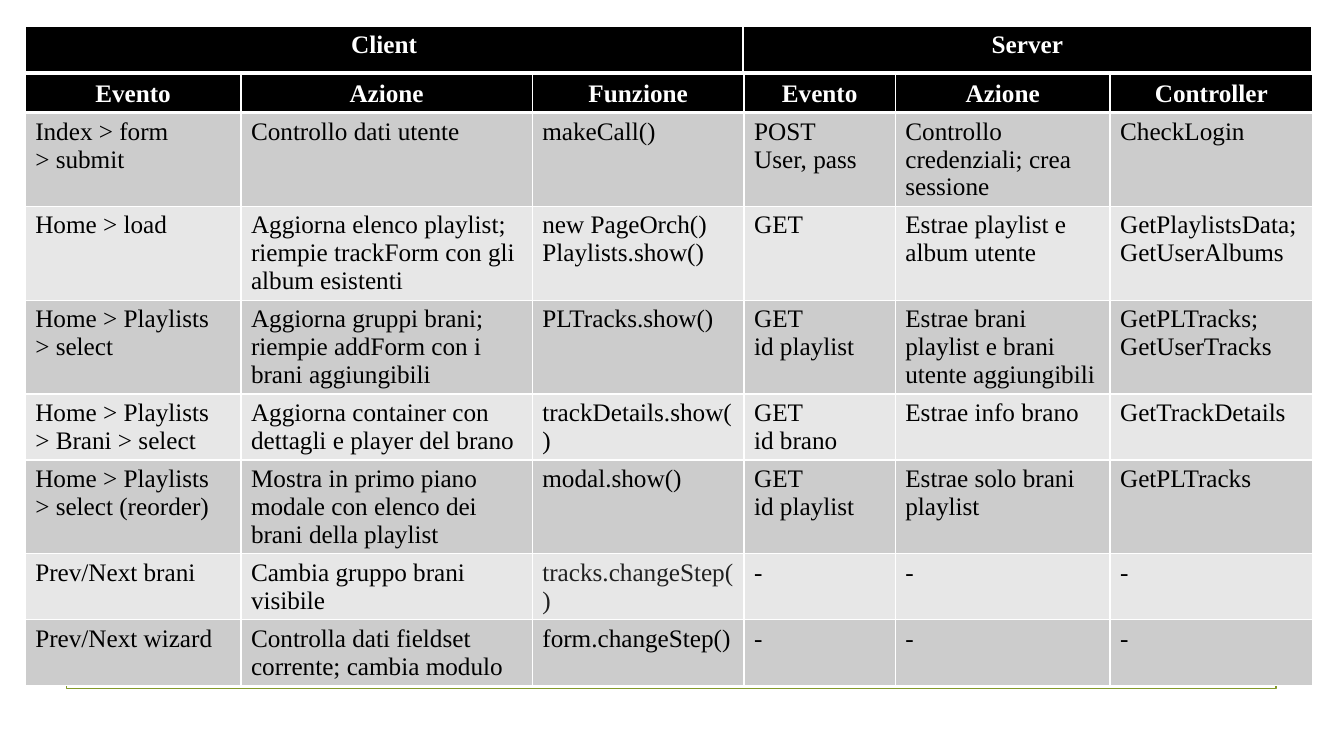
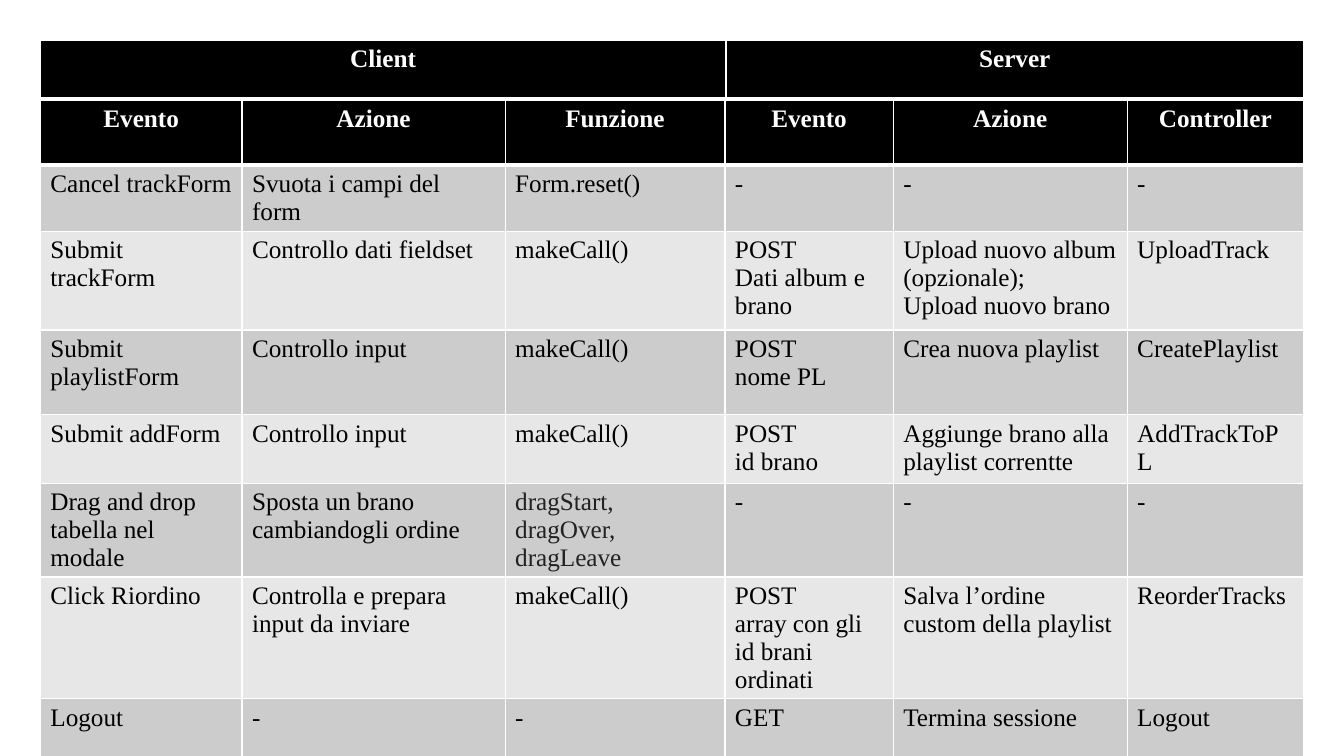
from dataclasses import dataclass

from lxml import etree
from pptx import Presentation
from pptx.dml.color import RGBColor
from pptx.enum.shapes import MSO_SHAPE as Preset
from pptx.enum.text import PP_ALIGN as Align
from pptx.oxml.ns import qn
from pptx.util import Inches, Pt

FONT = "Times New Roman"
BLACK = "000000"
WHITE = "FFFFFF"
OLIVE = "83992A"
CODE_GREY = "212121"
BAND_FILLS = ("CCCCCC", "E7E7E7")
THIN, THICK = 1, 3
SIDES = ("Client", "Server")
HEADINGS = ("Evento", "Azione", "Funzione", "Evento", "Azione", "Controller")
GREY_CODE = ("tracks.changeStep()", "dragStart, dragOver, dragLeave")
BLANK = 6


@dataclass(frozen=True)
class EventMap:
    """One slide: its frame, table geometry and event rows."""

    framed: bool
    left: float
    side_top: float
    side_height: float
    side_widths: tuple
    top: float
    widths: tuple
    heights: tuple
    events: tuple


EVENT_MAPS = (
    EventMap(
        framed=True,
        left=0.25,
        side_top=0.26,
        side_height=0.46,
        side_widths=(7.12, 5.64),
        top=0.74,
        widths=(2.14, 2.89, 2.1, 1.5, 2.13, 2.01),
        heights=(0.37, 0.93, 0.93, 0.93, 0.65, 0.93, 0.65, 0.65),
        events=(
            ("Index > form\n> submit", "Controllo dati utente", "makeCall()",
             "POST\nUser, pass", "Controllo credenziali; crea sessione", "CheckLogin"),
            ("Home > load",
             "Aggiorna elenco playlist; riempie trackForm con gli album esistenti",
             "new PageOrch()\nPlaylists.show()", "GET",
             "Estrae playlist e album utente", "GetPlaylistsData;\nGetUserAlbums"),
            ("Home > Playlists\n> select",
             "Aggiorna gruppi brani; riempie addForm con i brani aggiungibili",
             "PLTracks.show()", "GET\nid playlist",
             "Estrae brani playlist e brani utente aggiungibili",
             "GetPLTracks;\nGetUserTracks"),
            ("Home > Playlists\n> Brani > select",
             "Aggiorna container con dettagli e player del brano",
             "trackDetails.show()", "GET\nid brano", "Estrae info brano",
             "GetTrackDetails"),
            ("Home > Playlists\n> select (reorder)",
             "Mostra in primo piano modale con elenco dei brani della playlist",
             "modal.show()", "GET\nid playlist", "Estrae solo brani playlist",
             "GetPLTracks"),
            ("Prev/Next brani", "Cambia gruppo brani visibile",
             "tracks.changeStep()", "-", "-", "-"),
            ("Prev/Next wizard", "Controlla dati fieldset corrente; cambia modulo",
             "form.changeStep()", "-", "-", "-"),
        ),
    ),
    EventMap(
        framed=False,
        left=0.4,
        side_top=0.4,
        side_height=0.58,
        side_widths=(6.8, 5.73),
        top=0.99,
        widths=(2, 2.61, 2.18, 1.67, 2.32, 1.75),
        heights=(0.65, 0.57, 0.98, 0.84, 0.68, 0.68, 0.98, 0.65),
        events=(
            ("Cancel trackForm", "Svuota i campi del form", "Form.reset()",
             "-", "-", "-"),
            ("Submit trackForm", "Controllo dati fieldset", "makeCall()",
             "POST\nDati album e brano",
             "Upload nuovo album (opzionale);\nUpload nuovo brano", "UploadTrack"),
            ("Submit playlistForm", "Controllo input", "makeCall()",
             "POST\nnome PL", "Crea nuova playlist", "CreatePlaylist"),
            ("Submit addForm", "Controllo input", "makeCall()", "POST\nid brano",
             "Aggiunge brano alla playlist correntte", "AddTrackToPL"),
            ("Drag and drop tabella nel modale", "Sposta un brano cambiandogli ordine",
             "dragStart, dragOver, dragLeave", "-", "-", "-"),
            ("Click Riordino", "Controlla e prepara input da inviare", "makeCall()",
             "POST\narray con gli id brani ordinati",
             "Salva l’ordine custom della playlist", "ReorderTracks"),
            ("Logout", "-", "-", "GET", "Termina sessione", "Logout"),
        ),
    ),
)


def rgb(color: str) -> RGBColor:
    """Turn a hex string into a colour."""
    return RGBColor.from_string(color)


def write_text(frame, text: str, *, size: float = 18, color: str = BLACK,
               bold: bool = False, align=Align.LEFT) -> None:
    """Write text into a frame, one paragraph per line."""
    for index, line in enumerate(text.split("\n")):
        paragraph = frame.add_paragraph() if index else frame.paragraphs[0]
        paragraph.alignment = align
        run = paragraph.add_run()
        run.text = line
        run.font.name = FONT
        run.font.size = Pt(size)
        run.font.bold = bold
        run.font.color.rgb = rgb(color)


def set_borders(cell, top: float, bottom: float) -> None:
    """Give a cell white borders, with widths in points."""
    properties = cell._tc.get_or_add_tcPr()
    widths = {"a:lnL": THIN, "a:lnR": THIN, "a:lnT": top, "a:lnB": bottom}
    for position, (tag, width) in enumerate(widths.items()):
        line = etree.Element(qn(tag), w=str(Pt(width)))
        fill = etree.SubElement(line, qn("a:solidFill"))
        etree.SubElement(fill, qn("a:srgbClr"), val=WHITE)
        properties.insert(position, line)


def draw_table(slide, left: float, top: float, widths: tuple, heights: tuple,
               rows: tuple) -> None:
    """Draw a table with a black heading row and banded body rows."""
    table = slide.shapes.add_table(
        len(rows), len(widths), Inches(left), Inches(top),
        Inches(sum(widths)), Inches(sum(heights))).table
    table.first_row = table.horz_banding = False
    for column, width in zip(table.columns, widths):
        column.width = Inches(width)
    for row_index, (row, height, texts) in enumerate(zip(table.rows, heights, rows)):
        row.height = Inches(height)
        heading = row_index == 0
        fill = BLACK if heading else BAND_FILLS[(row_index - 1) % 2]
        for cell, text in zip(row.cells, texts):
            cell.fill.solid()
            cell.fill.fore_color.rgb = rgb(fill)
            set_borders(cell, THICK if row_index == 1 else THIN,
                        THICK if heading else THIN)
            if heading:
                write_text(cell.text_frame, text, color=WHITE, bold=True,
                           align=Align.CENTER)
            else:
                write_text(cell.text_frame, text,
                           color=CODE_GREY if text in GREY_CODE else BLACK)


def draw_frame(slide) -> None:
    """Draw the olive frame whose lower edge shows below the table."""
    frame = slide.shapes.add_shape(
        Preset.RECTANGLE, Inches(0.66), Inches(0.67), Inches(12), Inches(6.16))
    frame.shadow.inherit = False
    frame.fill.background()
    frame.line.color.rgb = rgb(OLIVE)
    frame.line.width = Pt(1.25)


def build_slide(presentation, event_map: EventMap) -> None:
    """Add the slide of one event map."""
    slide = presentation.slides.add_slide(presentation.slide_layouts[BLANK])
    if event_map.framed:
        draw_frame(slide)
    draw_table(slide, event_map.left, event_map.top, event_map.widths,
               event_map.heights, (HEADINGS, *event_map.events))
    draw_table(slide, event_map.left, event_map.side_top, event_map.side_widths,
               (event_map.side_height,), (SIDES,))


def main() -> None:
    """Build and save the presentation."""
    presentation = Presentation()
    presentation.slide_width = Inches(13.33)
    presentation.slide_height = Inches(7.5)
    for event_map in EVENT_MAPS:
        build_slide(presentation, event_map)
    presentation.save("out.pptx")


if __name__ == "__main__":
    main()
